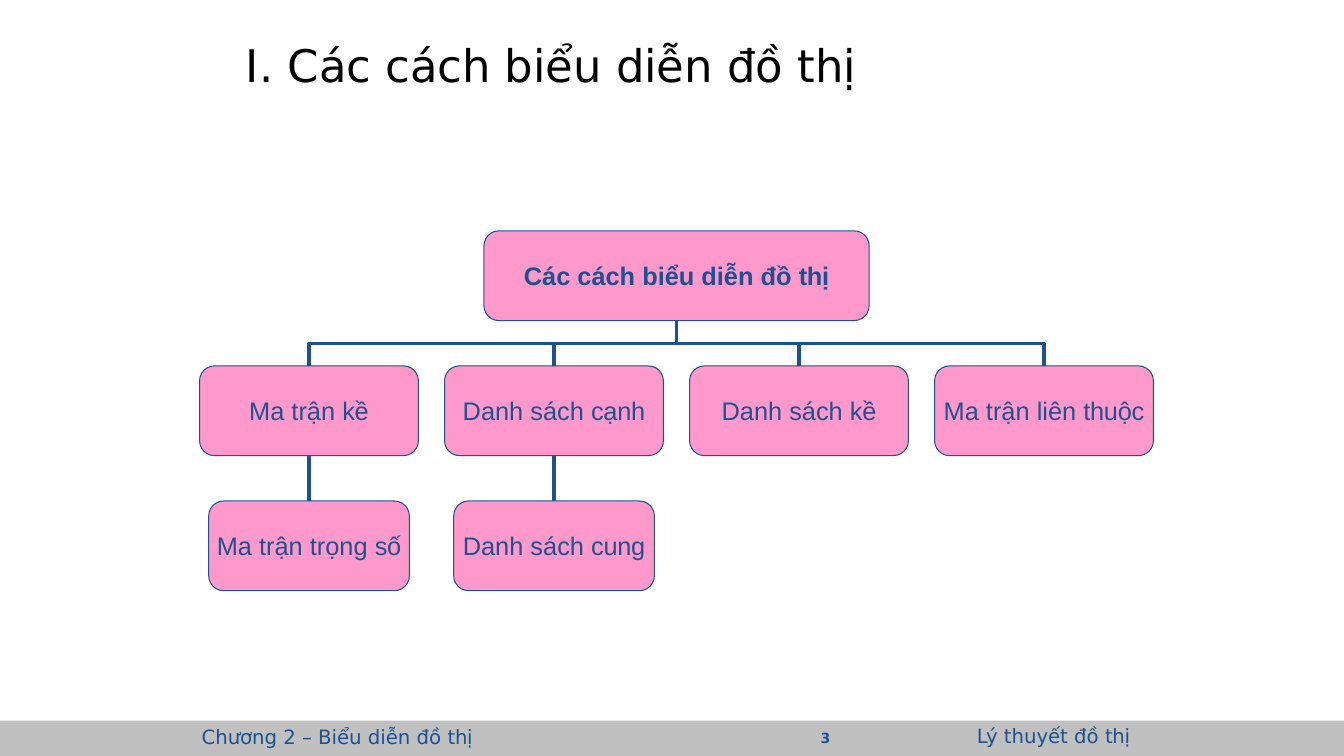
from dataclasses import dataclass

from lxml.etree import SubElement
from pptx import Presentation
from pptx.dml.color import RGBColor
from pptx.enum.shapes import MSO_CONNECTOR, MSO_SHAPE
from pptx.enum.text import MSO_ANCHOR, PP_ALIGN
from pptx.oxml.ns import qn
from pptx.util import Inches, Pt


@dataclass(frozen=True)
class Theme:
    ink: RGBColor = RGBColor(0x1D, 0x52, 0x8E)
    line: RGBColor = RGBColor(0x1D, 0x52, 0x8D)
    node: RGBColor = RGBColor(0xFF, 0x99, 0xCC)
    band: RGBColor = RGBColor(0xC0, 0xC0, 0xC0)
    title: RGBColor = RGBColor(0, 0, 0)
    heading_font: str = "DejaVu Sans"
    node_font: str = "Arial"
    title_size: float = 32.1
    node_size: float = 18.1
    footer_size: float = 14.1
    number_size: float = 10
    border: float = 0.75
    branch: float = 2.25
    last_word_spacing: str = "-20"


THEME = Theme()
NODE_HEIGHT = 0.89
ROOT_TOP, METHOD_TOP, VARIANT_TOP = 2.29, 3.63, 4.97
METHOD_LEFT, METHOD_WIDTH, METHOD_STEP = 1.98, 2.17, 2.43
VARIANT_WIDTH = 1.99
TOP, BOTTOM = 0, 2

ROOT = "Các cách biểu diễn đồ thị"
# Each method with its variant, if it has one
METHODS = [
    ("Ma trận kề", "Ma trận trọng số"),
    ("Danh sách cạnh", "Danh sách cung"),
    ("Danh sách kề", None),
    ("Ma trận liên thuộc", None),
]
TEXTS = [
    ("I. Các cách biểu diễn đồ thị", (2.44, 0.37, 10.5, 0.56),
     dict(size=Pt(THEME.title_size), color=THEME.title)),
    ("Chương 2 – Biểu diễn đồ thị", (2, 7.19, 2.9, 0.25),
     dict(size=Pt(THEME.footer_size), color=THEME.ink)),
    ("3", (8.14, 7.24, 0.3, 0.18),
     dict(size=Pt(THEME.number_size), color=THEME.ink, bold=True)),
    ("Lý thuyết đồ thị", (9.69, 7.18, 1.7, 0.25),
     dict(size=Pt(THEME.footer_size), color=THEME.ink)),
]


def write(shape, text, color, **font_format):
    """Fill the shape with one paragraph whose last word is set slightly tighter."""
    frame = shape.text_frame
    frame.word_wrap = True
    for side in ("left", "top", "right", "bottom"):
        setattr(frame, f"margin_{side}", 0)
    para = frame.paragraphs[0]
    start, space, last_word = text.rpartition(" ")
    for part in filter(None, (start + space, last_word)):
        span = para.add_run()
        span.text = part
        span.font.color.rgb = color
        for name, value in font_format.items():
            setattr(span.font, name, value)
    span.font._element.set("spc", THEME.last_word_spacing)
    return para


def add_text(page, text, place, font_format):
    box = page.shapes.add_textbox(*map(Inches, place))
    write(box, text, name=THEME.heading_font, **font_format)


def add_block(page, preset, place, fill):
    block = page.shapes.add_shape(preset, *map(Inches, place))
    block.shadow.inherit = False
    block.fill.solid()
    block.fill.fore_color.rgb = fill
    block.line.fill.background()
    return block


def set_line(shape, width):
    shape.line.color.rgb = THEME.line
    shape.line.width = Pt(width)


def add_node(page, text, left, top, width, bold=False):
    place = (left, top, width, NODE_HEIGHT)
    node = add_block(page, MSO_SHAPE.ROUNDED_RECTANGLE, place, THEME.node)
    set_line(node, THEME.border)
    para = write(node, text, THEME.ink, name=THEME.node_font,
                 size=Pt(THEME.node_size), bold=bold)
    para.alignment = PP_ALIGN.CENTER
    node.text_frame.vertical_anchor = MSO_ANCHOR.MIDDLE
    return node


def middle(node):
    return node.left + node.width // 2


def add_branch(page, parent, child):
    branch = page.shapes.add_connector(
        MSO_CONNECTOR.STRAIGHT, middle(parent), parent.top + parent.height,
        middle(child), child.top)
    set_line(branch, THEME.branch)
    SubElement(branch._element.spPr, qn("a:effectLst"))
    branch.begin_connect(parent, BOTTOM)
    branch.end_connect(child, TOP)


def add_fork(page, parent, children):
    """Draw one outline that runs from every child's top to the parent's bottom."""
    parent_bottom = parent.top + parent.height
    bus_y = (parent_bottom + children[0].top) // 2
    builder = page.shapes.build_freeform(middle(children[0]), children[0].top)
    for child in children:
        builder.move_to(middle(child), child.top)
        builder.add_line_segments(
            [(middle(child), bus_y), (middle(parent), bus_y),
             (middle(parent), parent_bottom)], close=False)
    fork = builder.convert_to_shape()
    fork.shadow.inherit = False
    fork.fill.background()
    set_line(fork, THEME.branch)


def add_tree(page):
    root = add_node(page, ROOT, 4.8, ROOT_TOP, 3.82, bold=True)
    methods = []
    for column, (method_text, variant_text) in enumerate(METHODS):
        left = METHOD_LEFT + column * METHOD_STEP
        method = add_node(page, method_text, left, METHOD_TOP, METHOD_WIDTH)
        methods.append(method)
        if variant_text:
            inset = (METHOD_WIDTH - VARIANT_WIDTH) / 2
            variant = add_node(page, variant_text, left + inset, VARIANT_TOP,
                               VARIANT_WIDTH)
            add_branch(page, method, variant)
    add_fork(page, root, methods)


def main():
    deck = Presentation()
    deck.slide_width, deck.slide_height = Inches(13.33), Inches(7.5)
    page = deck.slides.add_slide(deck.slide_layouts[6])
    add_block(page, MSO_SHAPE.RECTANGLE, (0, 7.15, 13.33, 0.35), THEME.band)
    add_tree(page)
    for text, place, font_format in TEXTS:
        add_text(page, text, place, font_format)
    deck.save("out.pptx")


if __name__ == "__main__":
    main()
